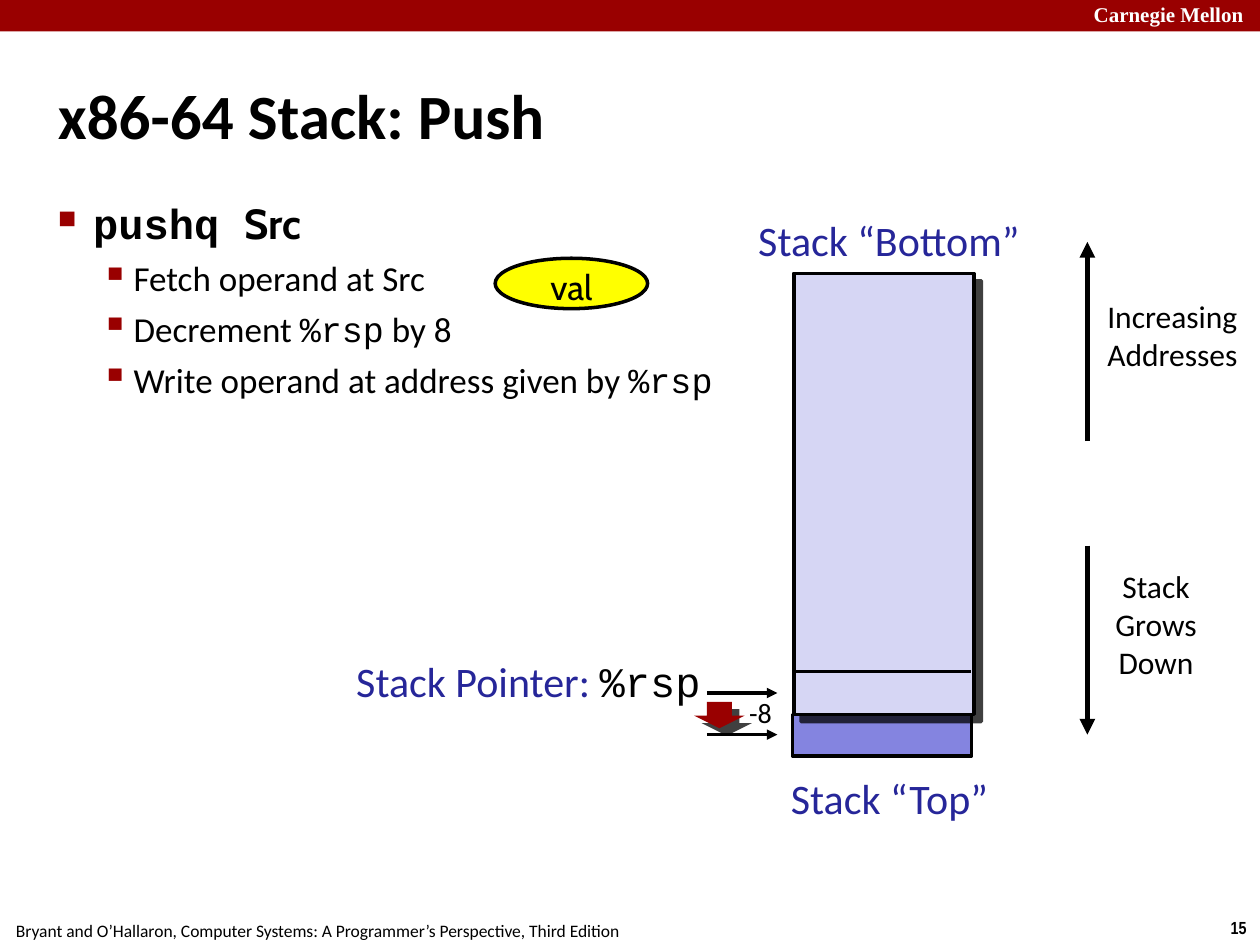
from lxml import etree
from pptx import Presentation
from pptx.dml.color import RGBColor
from pptx.enum.shapes import MSO_CONNECTOR, MSO_SHAPE
from pptx.enum.text import MSO_ANCHOR, PP_ALIGN
from pptx.oxml.ns import qn
from pptx.util import Inches, Pt

RECT, OVAL = MSO_SHAPE.RECTANGLE, MSO_SHAPE.OVAL
STRAIGHT = MSO_CONNECTOR.STRAIGHT
LEFT, CENTER, RIGHT = PP_ALIGN.LEFT, PP_ALIGN.CENTER, PP_ALIGN.RIGHT
TOP, MIDDLE = MSO_ANCHOR.TOP, MSO_ANCHOR.MIDDLE

COLORS = {
    "red": "990000", "black": "000000", "white": "FFFFFF", "yellow": "FFFF00",
    "label": "262699", "stack": "D6D6F4", "pushed": "8484E0",
}
BODY, CODE, NOTE = "Calibri", "Courier New", "Cabin"


def rgb(name):
    return RGBColor.from_string(COLORS[name])


def write_text(frame, paragraphs, size=18, font=BODY, color="black", bold=False,
               align=LEFT, anchor=TOP, margins=(0, 0), wrap=True):
    """Fill a frame; a paragraph is a string or a list of (text, overrides)."""
    frame.word_wrap = wrap
    frame.vertical_anchor = anchor
    frame.margin_left = frame.margin_right = Inches(margins[0])
    frame.margin_top = frame.margin_bottom = Inches(margins[1])
    for index, runs in enumerate(paragraphs):
        paragraph = frame.add_paragraph() if index else frame.paragraphs[0]
        paragraph.alignment = align
        for words, changes in [(runs, {})] if isinstance(runs, str) else runs:
            run = paragraph.add_run()
            run.text = words
            run.font.size = Pt(changes.get("size", size))
            run.font.name = changes.get("font", font)
            run.font.bold = changes.get("bold", bold)
            run.font.color.rgb = rgb(changes.get("color", color))


class StackSlide:
    def __init__(self, slide):
        self.slide = slide

    def text(self, box, paragraphs, **style):
        frame = self.slide.shapes.add_textbox(*map(Inches, box)).text_frame
        write_text(frame, paragraphs, **style)
        return frame

    def shape(self, kind, box, fill, outline=True, shadow=False):
        shape = self.slide.shapes.add_shape(kind, *map(Inches, box))
        return self.paint(shape, fill, outline, shadow)

    def polygon(self, points, fill, shadow=False):
        corners = [(Inches(x), Inches(y)) for x, y in points]
        builder = self.slide.shapes.build_freeform(*corners[0])
        builder.add_line_segments(corners[1:], close=True)
        return self.paint(builder.convert_to_shape(), fill, False, shadow)

    def paint(self, shape, fill, outline, shadow):
        shape.fill.solid()
        shape.fill.fore_color.rgb = rgb(fill)
        if outline:
            shape.line.color.rgb = rgb("black")
            shape.line.width = Pt(2)
        else:
            shape.line.fill.background()
        shape.shadow.inherit = False
        if shadow:
            effects = shape.element.spPr.find(qn("a:effectLst"))
            drop = etree.SubElement(effects, qn("a:outerShdw"), dist=str(Pt(6)),
                                    dir="2700000", algn="ctr", rotWithShape="0")
            tint = etree.SubElement(drop, qn("a:srgbClr"), val=COLORS["black"])
            etree.SubElement(tint, qn("a:alpha"), val="75000")
        return shape

    def line(self, start, end, width=2, arrow=True):
        line = self.slide.shapes.add_connector(STRAIGHT, *map(Inches, start + end))
        line.line.color.rgb = rgb("black")
        line.line.width = Pt(width)
        if arrow:
            etree.SubElement(line.line._get_or_add_ln(), qn("a:tailEnd"), type="triangle")
        etree.SubElement(line.element.spPr, qn("a:effectLst"))

    def bullet(self, paragraph, symbol, percent, margin, indent, before, level):
        paragraph.level = level
        if before:
            paragraph.space_before = Pt(before)
        properties = paragraph._p.get_or_add_pPr()
        properties.set("marL", str(Inches(margin)))
        properties.set("indent", str(-Inches(indent)))
        tint = etree.SubElement(properties, qn("a:buClr"))
        etree.SubElement(tint, qn("a:srgbClr"), val=COLORS["red"])
        etree.SubElement(properties, qn("a:buSzPct"), val=str(percent * 1000))
        etree.SubElement(properties, qn("a:buChar"), char=symbol)


def main():
    deck = Presentation()
    deck.slide_width, deck.slide_height = Inches(10), Inches(7.5)
    page = StackSlide(deck.slides.add_slide(deck.slide_layouts[6]))
    inset = (0.04, 0.04)

    # Header band and footer
    page.shape(RECT, (0, 0, 10, 0.25), "red", outline=False)
    page.text((8.64, -0.03, 1.44, 0.28), ["Carnegie Mellon"], size=12,
              font="Times New Roman", color="white", bold=True, margins=inset)
    page.text((9.66, 7.23, 0.34, 0.27), ["15"], size=10, font="Arial Narrow",
              bold=True, align=CENTER, margins=(0.1, 0.05), wrap=False)
    page.text((-0.02, 7.25, 5.08, 0.27),
              ["Bryant and O’Hallaron, Computer Systems: "
               "A Programmer’s Perspective, Third Edition"],
              size=10, align=CENTER, margins=(0.1, 0.05), wrap=False)

    # Title and steps of the push instruction
    page.text((0.42, 0.28, 9.17, 1.25), ["x86-64 Stack: Push"], size=36,
              bold=True, anchor=MIDDLE, margins=inset)
    code = {"font": CODE}
    steps = page.text((0.42, 1.53, 9.17, 2), [
        [("pushq ", {"font": CODE, "size": 24, "bold": True}),
         ("Src", {"font": NOTE, "size": 24, "bold": True})],
        "Fetch operand at Src",
        [("Decrement ", {}), ("%rsp", code), (" by 8", {})],
        [("Write operand at address given by ", {}), ("%rsp", code)],
    ], size=20, margins=inset)
    instruction, *actions = steps.paragraphs
    page.bullet(instruction, "■", 60, 0.28, 0.28, before=0, level=0)
    for action in actions:
        page.bullet(action, "▪", 110, 0.6, 0.26, before=5, level=1)

    # Pushed word and the pointer's move of 8 bytes
    page.shape(RECT, (6.29, 5.67, 1.42, 0.33), "pushed")
    page.text((5.9, 5.48, 0.27, 0.35), ["-8"], size=16, align=CENTER,
              margins=inset, wrap=False)
    page.polygon([(5.51, 5.68), (5.61, 5.68), (5.61, 5.57), (5.81, 5.57),
                  (5.81, 5.68), (5.91, 5.68), (5.71, 5.78)], "red", shadow=True)
    for pointer_y in (5.5, 5.83):
        page.line((5.61, pointer_y), (6.17, pointer_y))

    # Stack
    page.shape(RECT, (6.3, 2.17, 1.43, 3.5), "stack", shadow=True)
    page.line((6.29, 5.33), (7.71, 5.33), arrow=False)

    # Directions of growth
    page.line((8.63, 4.33), (8.63, 5.83), width=3)
    page.line((8.63, 3.5), (8.63, 1.92), width=3)
    for box, words, wrap in (
        ((8.73, 4.5, 0.89, 1), ["Stack Grows", "Down"], True),
        ((8.74, 2.36, 1.13, 0.69), ["Increasing", "Addresses"], False),
    ):
        direction = page.shape(RECT, box, "white", outline=False)
        write_text(direction.text_frame, words, align=CENTER, wrap=wrap)

    # Stack labels
    label = {"size": 24, "color": "label", "wrap": False}
    page.text((5.94, 1.7, 2.23, 0.49), ["Stack “Bottom”"], align=CENTER, **label)
    page.text((6.21, 6.13, 1.7, 0.49), ["Stack “Top”"], align=CENTER, **label)
    page.text((2.78, 5.2, 2.78, 0.4),
              [[("Stack Pointer: ", {}), ("%rsp", {"font": CODE, "color": "black"})]],
              align=RIGHT, **label)

    # Operand value
    operand = page.shape(OVAL, (3.93, 2.05, 1.21, 0.4), "yellow")
    write_text(operand.text_frame, ["val"], size=20, font=NOTE, align=CENTER,
               margins=(0.1, 0))

    deck.save("out.pptx")


if __name__ == "__main__":
    main()
